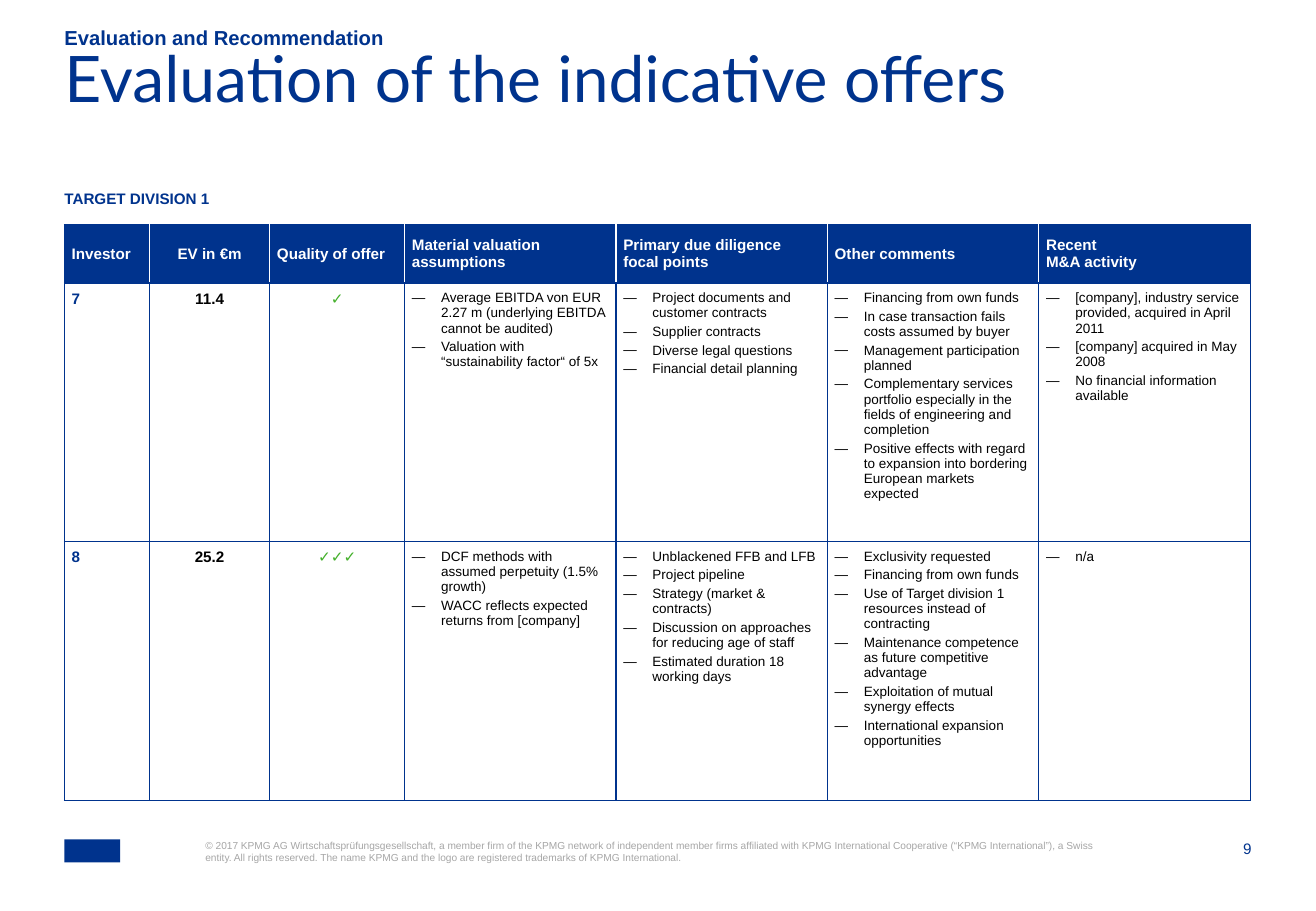
"""Builds the slide that evaluates the indicative offers for a target division."""
from dataclasses import dataclass

from lxml import etree
from pptx import Presentation
from pptx.dml.color import RGBColor
from pptx.enum.shapes import MSO_SHAPE
from pptx.enum.text import MSO_ANCHOR, MSO_AUTO_SIZE, PP_ALIGN
from pptx.oxml.ns import qn
from pptx.util import Inches, Pt

LEFT, CENTER, RIGHT = PP_ALIGN.LEFT, PP_ALIGN.CENTER, PP_ALIGN.RIGHT
TOP, MIDDLE, BOTTOM = MSO_ANCHOR.TOP, MSO_ANCHOR.MIDDLE, MSO_ANCHOR.BOTTOM
NO_AUTOFIT = MSO_AUTO_SIZE.NONE
RECTANGLE = MSO_SHAPE.RECTANGLE

COLORS = {
    "blue": "00338D",
    "white": "FFFFFF",
    "black": "000000",
    "green": "43B02A",
    "grey": "A6A6A6",
}
MARGIN = 0.53
CONTENT_WIDTH = 9.76
CELL_INSET = 0.06
BULLET_INDENT = 0.24
BORDER_WIDTH = 0.75
COLUMN_WIDTHS = [0.7, 0.99, 1.11] + [1.74] * 4
ROW_HEIGHTS = [0.48, 2.13, 2.13]


@dataclass
class Style:
    """Look of a paragraph."""
    size: float
    color: str
    bold: bool = False
    font: str = "Arial"
    align: PP_ALIGN = LEFT
    space_after: float = 0
    line_spacing: float = 1.0
    bullet: str = ""


@dataclass
class Label:
    """Text box or placeholder with its place and style."""
    text: str
    left: float
    top: float
    width: float
    height: float
    style: Style
    anchor: MSO_ANCHOR = TOP
    placeholder: int | None = None


@dataclass
class Offer:
    """One investor's offer."""
    investor: str
    value: str
    quality: str
    assumptions: list[str]
    focal_points: list[str]
    comments: list[str]
    activity: list[str]


LABELS = [
    Label("Evaluation of the indicative offers", MARGIN, 0.49, CONTENT_WIDTH, 0.79,
          Style(38, "blue", font="Lato", line_spacing=0.7), placeholder=0),
    Label("Evaluation and Recommendation", MARGIN, 0.22, 9.4, 0.19,
          Style(12, "blue", bold=True), BOTTOM, placeholder=1),
    Label("TARGET DIVISION 1", MARGIN, 1.56, CONTENT_WIDTH, 0.29,
          Style(9, "blue", bold=True, space_after=6), placeholder=3),
    Label("© 2017 KPMG AG Wirtschaftsprüfungsgesellschaft, a member firm of the KPMG network of "
          "independent member firms affiliated with KPMG International Cooperative (“KPMG "
          "International”), a Swiss entity. All rights reserved. The name KPMG and the logo are "
          "registered trademarks of KPMG International.",
          1.69, 6.91, 7.49, 0.41, Style(6, "grey")),
    Label("9", 9.87, 6.91, 0.43, 0.16, Style(9, "blue", align=RIGHT)),
]

HEADERS = [
    ["Investor"],
    ["EV in €m"],
    ["Quality of offer"],
    ["Material valuation assumptions"],
    ["Primary due diligence focal points"],
    ["Other comments"],
    ["Recent", "M&A activity"],
]

OFFERS = [
    Offer("7", "11.4", "✓",
          ["Average EBITDA von EUR 2.27 m (underlying EBITDA cannot be audited)",
           "Valuation with “sustainability factor“ of 5x"],
          ["Project documents and customer contracts", "Supplier contracts",
           "Diverse legal questions", "Financial detail planning"],
          ["Financing from own funds",
           "In case transaction fails costs assumed by buyer",
           "Management participation planned",
           "Complementary services portfolio especially in the fields of engineering and completion",
           "Positive effects with regard to expansion into bordering European markets expected"],
          ["[company], industry service provided, acquired in April 2011",
           "[company] acquired in May 2008",
           "No financial information available"]),
    Offer("8", "25.2", "✓✓✓",
          ["DCF methods with assumed perpetuity (1.5% growth)",
           "WACC reflects expected returns from [company]"],
          ["Unblackened FFB and LFB", "Project pipeline", "Strategy (market & contracts)",
           "Discussion on approaches for reducing age of staff",
           "Estimated duration 18 working days"],
          ["Exclusivity requested", "Financing from own funds",
           "Use of Target division 1 resources instead of contracting",
           "Maintenance competence as future competitive advantage",
           "Exploitation of mutual synergy effects",
           "International expansion opportunities"],
          ["n/a"]),
]

INVESTOR_STYLE = Style(9, "blue", bold=True, space_after=2)
VALUE_STYLE = Style(9, "black", bold=True, align=CENTER, space_after=2)
QUALITY_STYLE = Style(9, "green", bold=True, align=CENTER, space_after=2)
LIST_STYLE = Style(8, "black", space_after=2, bullet="—")


def rgb(name: str) -> RGBColor:
    """Return the named colour."""
    return RGBColor.from_string(COLORS[name])


def add_bullet(para, style: Style) -> None:
    """Give the paragraph a hanging bullet."""
    properties = para._p.get_or_add_pPr()
    properties.set("marL", str(Inches(BULLET_INDENT)))
    properties.set("indent", str(-Inches(BULLET_INDENT)))
    color = etree.SubElement(properties, qn("a:buClr"))
    etree.SubElement(color, qn("a:srgbClr"), val=COLORS[style.color])
    etree.SubElement(properties, qn("a:buFont"), typeface=style.font)
    etree.SubElement(properties, qn("a:buChar"), char=style.bullet)


def write(frame, lines: list[str], style: Style) -> None:
    """Write one styled paragraph per line."""
    for index, line in enumerate(lines):
        para = frame.add_paragraph() if index else frame.paragraphs[0]
        para.text = line
        if style.bullet:
            add_bullet(para, style)
        para.alignment = style.align
        para.line_spacing = style.line_spacing
        para.space_before = Pt(0)
        para.space_after = Pt(style.space_after)
        para.font.name = style.font
        para.font.size = Pt(style.size)
        para.font.bold = style.bold
        para.font.color.rgb = rgb(style.color)


def add_label(page, label: Label) -> None:
    """Place a label in its placeholder or in a new text box."""
    place = [Inches(n) for n in (label.left, label.top, label.width, label.height)]
    if label.placeholder is None:
        box = page.shapes.add_textbox(*place)
    else:
        box = page.placeholders[label.placeholder]
        box.left, box.top, box.width, box.height = place
    frame = box.text_frame
    frame.word_wrap = True
    frame.auto_size = NO_AUTOFIT
    frame.vertical_anchor = label.anchor
    frame.margin_left = frame.margin_right = frame.margin_top = frame.margin_bottom = 0
    write(frame, [label.text], label.style)


def fill_cell(cell, lines: list[str], style: Style, fill: str, anchor: MSO_ANCHOR,
              left: str = "blue", right: str = "blue") -> None:
    """Fill, border and write a table cell."""
    cell.margin_left = cell.margin_right = Inches(CELL_INSET)
    cell.margin_top = cell.margin_bottom = Inches(CELL_INSET)
    cell.vertical_anchor = anchor
    properties = cell._tc.get_or_add_tcPr()
    for side, color in {"L": left, "R": right, "T": "blue", "B": "blue"}.items():
        border = etree.SubElement(properties, qn(f"a:ln{side}"), w=str(Pt(BORDER_WIDTH)))
        solid = etree.SubElement(border, qn("a:solidFill"))
        etree.SubElement(solid, qn("a:srgbClr"), val=COLORS[color])
    cell.fill.solid()
    cell.fill.fore_color.rgb = rgb(fill)
    write(cell.text_frame, lines, style)


def add_offer_table(page) -> None:
    """Draw the table of offers."""
    table = page.shapes.add_table(
        len(ROW_HEIGHTS), len(COLUMN_WIDTHS), Inches(MARGIN), Inches(1.85),
        Inches(CONTENT_WIDTH), Inches(sum(ROW_HEIGHTS))).table
    table.horz_banding = False
    for column, width in zip(table.columns, COLUMN_WIDTHS):
        column.width = Inches(width)
    for row, height in zip(table.rows, ROW_HEIGHTS):
        row.height = Inches(height)
    last = len(HEADERS) - 1
    for index, lines in enumerate(HEADERS):
        style = Style(9, "white", bold=True, align=CENTER if index == 1 else LEFT)
        fill_cell(table.cell(0, index), lines, style, "blue", MIDDLE,
                  "white" if index else "blue", "white" if index < last else "blue")
    for row, offer in enumerate(OFFERS, start=1):
        entries = [([offer.investor], INVESTOR_STYLE), ([offer.value], VALUE_STYLE),
                   ([offer.quality], QUALITY_STYLE)]
        entries += [(lines, LIST_STYLE) for lines in (
            offer.assumptions, offer.focal_points, offer.comments, offer.activity)]
        for index, (lines, style) in enumerate(entries):
            fill_cell(table.cell(row, index), lines, style, "white", TOP)


def add_emblem(page) -> None:
    """Draw the plain block in the footer."""
    emblem = page.shapes.add_shape(
        RECTANGLE, Inches(MARGIN), Inches(6.91), Inches(0.46), Inches(0.19))
    emblem.shadow.inherit = False
    emblem.fill.solid()
    emblem.fill.fore_color.rgb = rgb("blue")
    emblem.line.fill.background()


def main() -> None:
    """Build and save the deck."""
    deck = Presentation()
    deck.slide_width, deck.slide_height = Inches(10.83), Inches(7.5)
    page = deck.slides.add_slide(deck.slide_layouts[4])
    for label in LABELS:
        add_label(page, label)
    for unused in (2, 4):
        element = page.placeholders[unused]._element
        element.getparent().remove(element)
    add_offer_table(page)
    add_emblem(page)
    deck.save("out.pptx")


if __name__ == "__main__":
    main()
